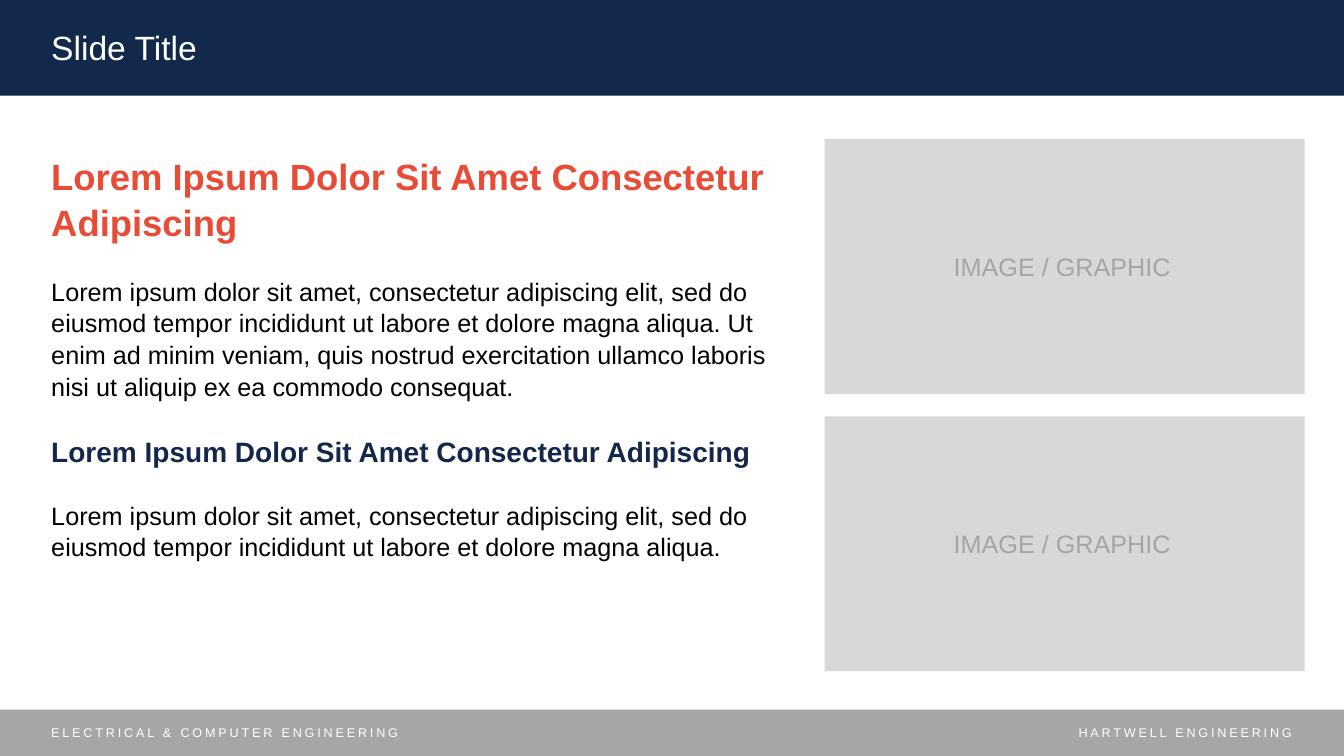
from pptx import Presentation
from pptx.dml.color import RGBColor
from pptx.enum.shapes import MSO_SHAPE as Shape
from pptx.enum.text import PP_ALIGN as Align
from pptx.util import Inches, Pt

COLORS = {
    "header": "13294B",
    "footer": "A6A6A6",
    "panel": "D8D8D8",
    "panel_label": "A5A5A5",
    "orange": "E84B36",
    "navy": "15264B",
    "black": "000000",
    "white": "FFFFFF",
}
SLIDE_W, SLIDE_H = 13.33, 7.5
MARGIN = 0.41

HEADLINE = "Lorem Ipsum Dolor Sit Amet Consectetur Adipiscing"
SENTENCE = (
    "Lorem ipsum dolor sit amet, consectetur adipiscing elit, sed do "
    "eiusmod tempor incididunt ut labore et dolore magna aliqua."
)
SECOND_SENTENCE = (
    "Ut enim ad minim veniam, quis nostrud exercitation ullamco laboris "
    "nisi ut aliquip ex ea commodo consequat."
)
BODY = [
    (HEADLINE, 26, "orange", True),
    (f"{SENTENCE} {SECOND_SENTENCE}", 18, "black", False),
    (HEADLINE, 20, "navy", True),
    (SENTENCE, 18, "black", False),
]


def add_block(slide, left, top, width, height, color):
    """Draw a plain filled rectangle."""
    block = slide.shapes.add_shape(
        Shape.RECTANGLE, Inches(left), Inches(top), Inches(width), Inches(height)
    )
    block.shadow.inherit = False
    block.fill.solid()
    block.fill.fore_color.rgb = RGBColor.from_string(COLORS[color])
    block.line.fill.background()


def add_frame(slide, left, top, width, height):
    """Add a wrapping text box and return its text frame."""
    frame = slide.shapes.add_textbox(
        Inches(left), Inches(top), Inches(width), Inches(height)
    ).text_frame
    frame.word_wrap = True
    return frame


def write(paragraph, text, size, color, bold=False, align=Align.LEFT, tracking=0):
    """Fill a paragraph with styled text."""
    run = paragraph.add_run()
    run.text = text
    paragraph.alignment = align
    font = paragraph.font
    font.name, font.size, font.bold = "Arial", Pt(size), bold
    font.color.rgb = RGBColor.from_string(COLORS[color])
    if tracking:
        run.font._element.set("spc", str(tracking * 100))


def add_header(slide, left, top, width, height):
    """Draw the title band."""
    add_block(slide, left, top, width, height, "header")
    title = add_frame(slide, left + MARGIN, top + 0.22, 11.93, 0.5)
    write(title.paragraphs[0], "Slide Title", 24, "white")


def add_body(slide, left, top, width, height):
    """Write the headings and their paragraphs."""
    frame = add_frame(slide, left, top, width, height)
    for index, (text, size, color, bold) in enumerate(BODY):
        paragraph = frame.add_paragraph() if index else frame.paragraphs[0]
        paragraph.line_spacing = 1.05
        paragraph.space_after = Pt(22)
        write(paragraph, text, size, color, bold)


def add_graphic_panel(slide, left, top, width, height):
    """Draw a grey panel with its label."""
    add_block(slide, left, top, width, height, "panel")
    label = add_frame(slide, left + 1.11, top + (height - 0.4) / 2, 2.49, 0.4)
    write(label.paragraphs[0], "IMAGE / GRAPHIC", 18, "panel_label", align=Align.CENTER)


def add_footer(slide, left, top, width, height):
    """Draw the footer band with department and college."""
    add_block(slide, left, top, width, height, "footer")
    department = add_frame(slide, left + MARGIN, top + 0.1, 8.74, 0.25)
    write(department.paragraphs[0], "ELECTRICAL & COMPUTER ENGINEERING", 9, "white",
          tracking=2)
    college = add_frame(slide, left + width - MARGIN - 2.71, top + 0.1, 2.7, 0.25)
    write(college.paragraphs[0], "HARTWELL ENGINEERING", 9, "white",
          align=Align.RIGHT, tracking=2)


def main():
    """Build and save the slide."""
    deck = Presentation()
    deck.slide_width, deck.slide_height = Inches(SLIDE_W), Inches(SLIDE_H)
    slide = deck.slides.add_slide(deck.slide_layouts[6])
    add_header(slide, 0, 0, SLIDE_W, 0.95)
    add_body(slide, MARGIN, 1.46, 7.31, 5.27)
    for row in range(2):
        add_graphic_panel(slide, 8.18, 1.38 + row * 2.75, 4.76, 2.53)
    add_footer(slide, 0, 7.04, SLIDE_W, 0.46)
    deck.save("out.pptx")


if __name__ == "__main__":
    main()
